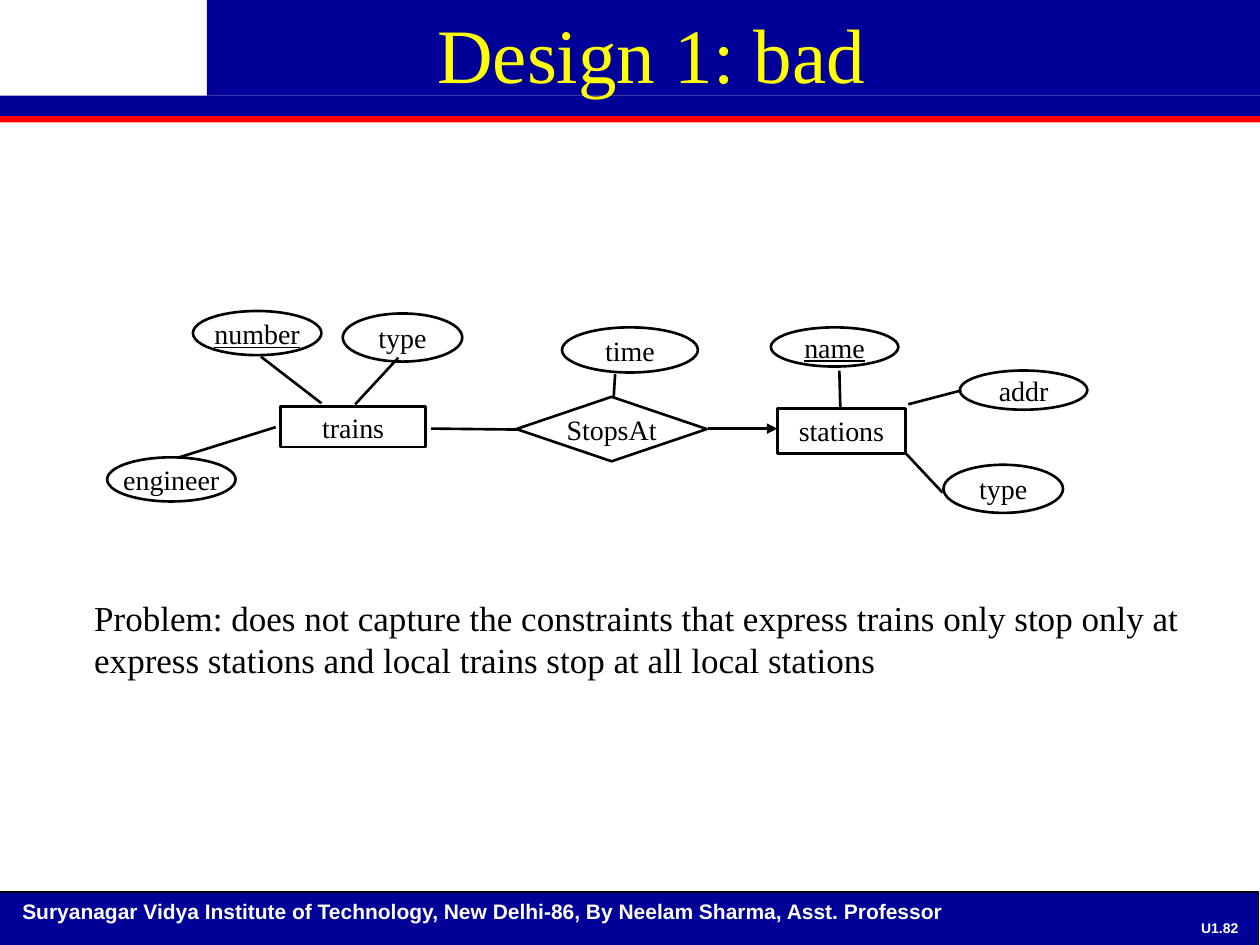
import dataclasses

import lxml.etree
import pptx
import pptx.dml.color
import pptx.enum.shapes
import pptx.enum.text
import pptx.oxml.ns
import pptx.util

Cm = pptx.util.Cm
Pt = pptx.util.Pt
SHAPE = pptx.enum.shapes.MSO_SHAPE
ALIGN = pptx.enum.text.PP_ALIGN
ANCHOR = pptx.enum.text.MSO_ANCHOR
qn = pptx.oxml.ns.qn


@dataclasses.dataclass(frozen=True)
class Theme:
    serif: str = "Times New Roman"
    sans: str = "Arial"
    navy: str = "000099"
    red: str = "FF0000"
    yellow: str = "FFFF00"
    white: str = "FFFFFF"
    black: str = "000000"
    title_size: int = 44
    body_size: int = 20
    label_size: int = 16
    footer_size: int = 12
    number_size: int = 8
    stroke: float = 1.5
    thin_stroke: float = 0.75


def rgb(code):
    return pptx.dml.color.RGBColor.from_string(code)


class DiagramSlide:
    def __init__(self, deck, theme):
        self.theme = theme
        self.slide = deck.slides.add_slide(deck.slide_layouts[5])
        self.shapes = self.slide.shapes

    def set_text(self, frame, words, size, color, font=None, align=ALIGN.LEFT,
                 anchor=ANCHOR.TOP, wrap=True, bold=False, underline=False):
        frame.text = words
        frame.word_wrap = wrap
        frame.auto_size = pptx.enum.text.MSO_AUTO_SIZE.NONE
        frame.vertical_anchor = anchor
        paragraph = frame.paragraphs[0]
        paragraph.alignment = align
        paragraph.font.name = font or self.theme.serif
        paragraph.font.size = Pt(size)
        paragraph.font.color.rgb = rgb(color)
        paragraph.font.bold = bold
        paragraph.font.underline = underline

    def band(self, box, color, outline=None):
        band = self.shapes.add_shape(SHAPE.RECTANGLE, *map(Cm, box))
        band.shadow.inherit = False
        band.fill.solid()
        band.fill.fore_color.rgb = rgb(color)
        if outline:
            band.line.color.rgb = rgb(outline)
            band.line.width = Pt(self.theme.thin_stroke)
        else:
            band.line.fill.background()

    def title(self, words, box):
        heading = self.shapes.title
        heading.left, heading.top, heading.width, heading.height = map(Cm, box)
        self.set_text(heading.text_frame, words, self.theme.title_size,
                      self.theme.yellow, align=ALIGN.CENTER)
        # Bring the heading in front of the bands
        self.shapes.element.append(heading.element)

    def text(self, words, box, size, color, top_inset=0.13, **style):
        frame = self.shapes.add_textbox(*map(Cm, box)).text_frame
        frame.margin_top = Cm(top_inset)
        self.set_text(frame, words, size, color, **style)

    def node(self, kind, label, box, key=False):
        node = self.shapes.add_shape(kind, *map(Cm, box))
        node.shadow.inherit = False
        node.fill.background()
        node.line.color.rgb = rgb(self.theme.black)
        node.line.width = Pt(self.theme.stroke)
        self.set_text(node.text_frame, label, self.theme.label_size,
                      self.theme.black, align=ALIGN.CENTER,
                      anchor=ANCHOR.MIDDLE, wrap=False, underline=key)

    def link(self, ends, arrow=False):
        link = self.shapes.add_connector(
            pptx.enum.shapes.MSO_CONNECTOR.STRAIGHT, *map(Cm, ends))
        link.line.color.rgb = rgb(self.theme.black)
        link.line.width = Pt(self.theme.stroke)
        properties = link.element.spPr
        if arrow:
            lxml.etree.SubElement(properties.find(qn("a:ln")),
                                  qn("a:tailEnd"), type="triangle")
        lxml.etree.SubElement(properties, qn("a:effectLst"))


def main():
    deck = pptx.Presentation()
    deck.slide_width, deck.slide_height = Cm(25.4), Cm(19.05)
    theme = Theme()
    page = DiagramSlide(deck, theme)

    # Header bands and title
    page.band((0, 2.34, 25.4, 0.13), theme.red)
    page.band((4.17, 0, 21.23, 1.93), theme.navy)
    page.band((0, 1.93, 25.4, 0.41), theme.navy)
    page.title("Design 1: bad", (1.7, 0, 22.86, 3.18))

    # Footer
    page.band((-0.03, 17.98, 25.4, 1.09), theme.navy, theme.black)
    page.text("Suryanagar Vidya Institute of Technology, New Delhi-86, "
              "By Neelam Sharma, Asst. Professor",
              (0.2, 17.98, 24.08, 0.76), theme.footer_size, theme.white,
              font=theme.sans, bold=True)
    page.text("U1.82", (23.93, 18.19, 1.32, 0.48), theme.number_size,
              theme.white, top_inset=0.35, font=theme.sans, bold=True,
              align=ALIGN.CENTER, wrap=False)

    # Problem statement
    page.text("Problem: does not capture the constraints that express trains "
              "only stop only at express stations and local trains stop at "
              "all local stations", (1.65, 11.89, 22.56, 1.96),
              theme.body_size, theme.black, anchor=ANCHOR.MIDDLE)

    # Entities and their relationship
    page.node(SHAPE.RECTANGLE, "trains", (5.66, 8.2, 2.92, 0.81))
    page.node(SHAPE.RECTANGLE, "stations", (15.67, 8.23, 2.59, 0.91))
    page.node(SHAPE.DIAMOND, "StopsAt", (10.41, 8, 3.84, 1.3))
    page.link((8.69, 8.64, 10.49, 8.66))
    page.link((14.27, 8.64, 15.67, 8.64), arrow=True)

    # Attributes: label, box, link to the owner, whether it is a key
    attributes = [
        ("type", (6.91, 6.32, 2.41, 0.97), (8.03, 7.21, 7.16, 8.15), False),
        ("number", (3.89, 6.27, 2.59, 0.89), (5.26, 7.19, 6.48, 8.13), True),
        ("time", (11.33, 6.6, 2.74, 0.91), (12.4, 7.54, 12.37, 8.03), False),
        ("name", (15.54, 6.6, 2.57, 0.79), (16.92, 7.47, 16.94, 8.23), True),
        ("engineer", (2.16, 9.22, 2.59, 0.89), (3.61, 9.22, 5.56, 8.61), False),
        ("addr", (19.35, 7.47, 2.57, 0.79), (19.38, 7.87, 18.31, 8.15), False),
        ("type", (19.02, 9.37, 2.41, 0.97), (19, 9.93, 18.26, 9.14), False),
    ]
    for label, box, ends, key in attributes:
        page.node(SHAPE.OVAL, label, box, key)
        page.link(ends)

    deck.save("out.pptx")


if __name__ == "__main__":
    main()
